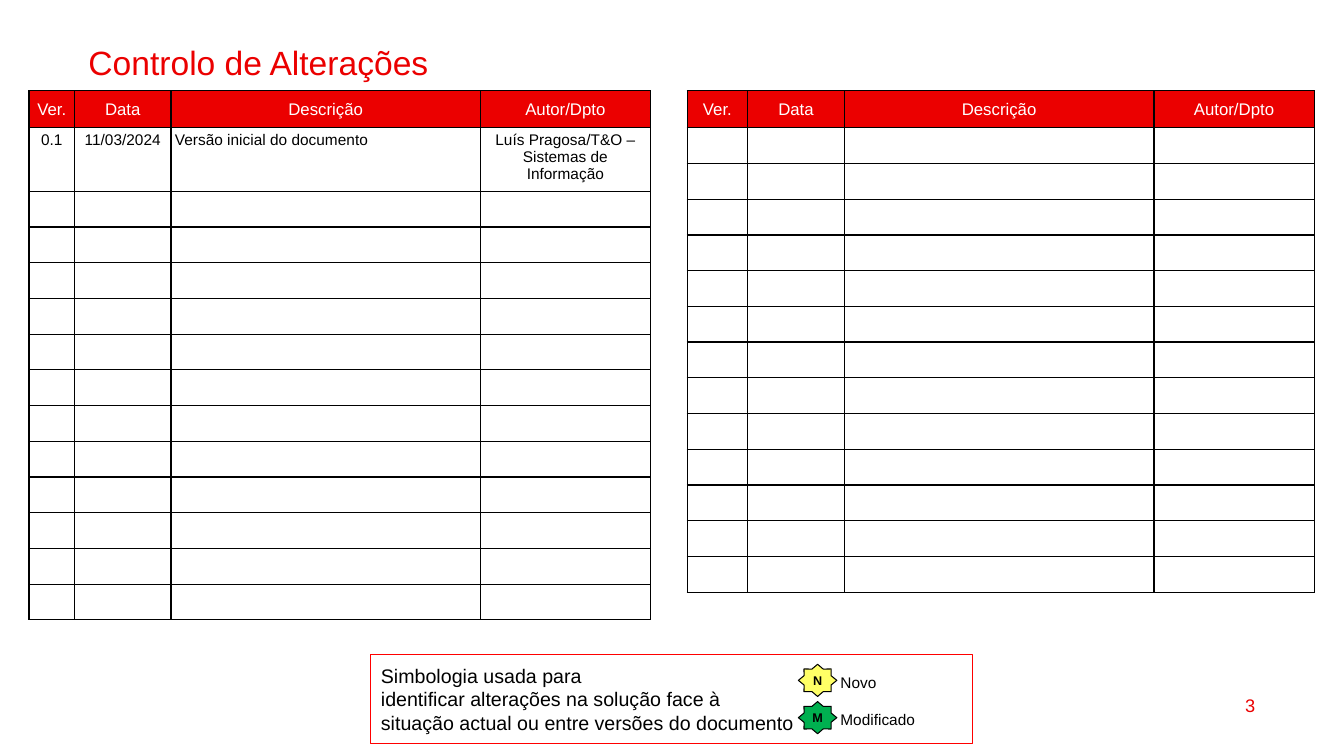
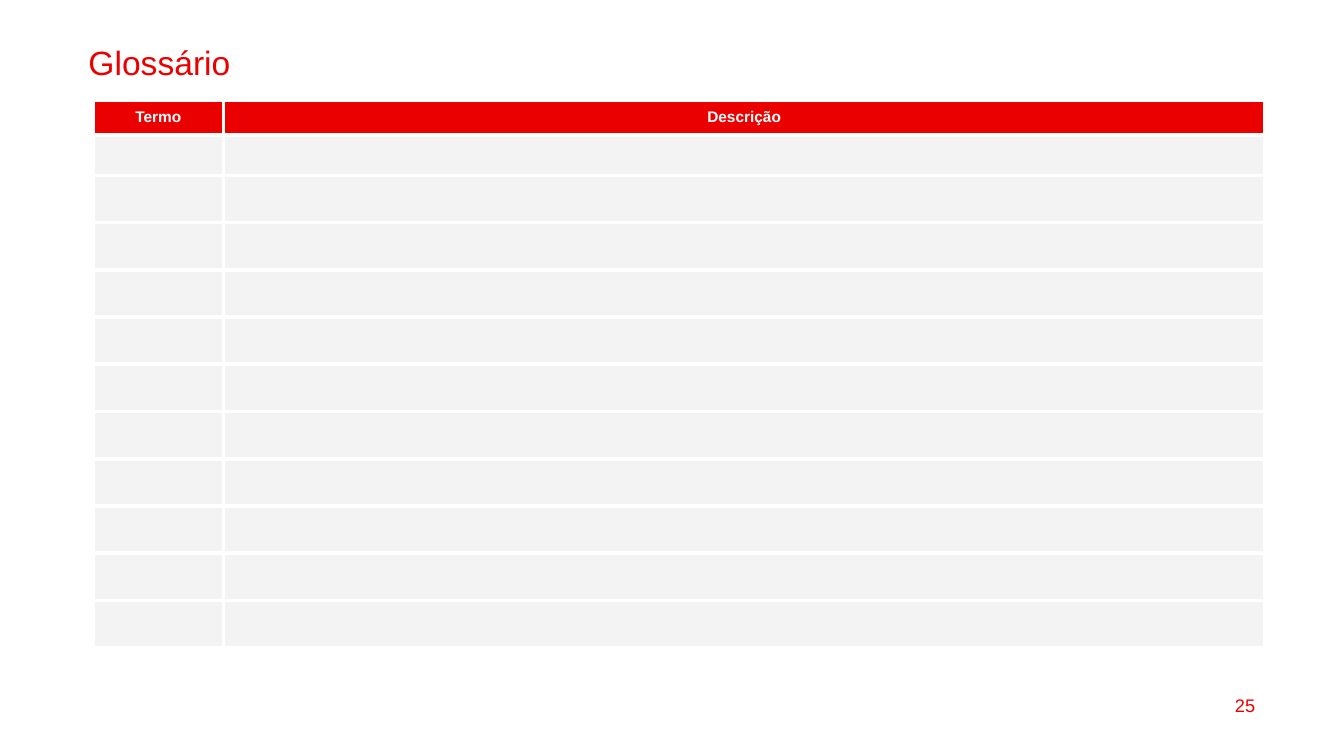
from dataclasses import dataclass

from lxml import etree
from pptx import Presentation
from pptx.dml.color import RGBColor
from pptx.enum.shapes import MSO_SHAPE
from pptx.enum.text import MSO_ANCHOR, PP_ALIGN
from pptx.oxml.ns import qn
from pptx.shapes.autoshape import Shape
from pptx.slide import Slide
from pptx.table import _Cell
from pptx.text.text import TextFrame
from pptx.util import Cm, Pt

LEFT = PP_ALIGN.LEFT
CENTER = PP_ALIGN.CENTER
RIGHT = PP_ALIGN.RIGHT
TOP = MSO_ANCHOR.TOP
MIDDLE = MSO_ANCHOR.MIDDLE
RECTANGLE = MSO_SHAPE.RECTANGLE
STAR = MSO_SHAPE.STAR_8_POINT
BORDER_TAGS = ("a:lnL", "a:lnR", "a:lnT", "a:lnB")


@dataclass(frozen=True)
class Theme:
    font: str = "Arial"
    red: str = "EB0000"
    frame_red: str = "FF0000"
    black: str = "000000"
    white: str = "FFFFFF"
    grey: str = "F3F3F3"
    yellow: str = "FFFF66"
    green: str = "00B050"
    title_size: float = 24
    legend_size: float = 14
    number_size: float = 13
    header_size: float = 12
    body_size: float = 11
    symbol_size: float = 9
    line_width: float = 0.75


THEME = Theme()


@dataclass(frozen=True)
class TextStyle:
    size: float
    color: str = THEME.black
    bold: bool = False
    align: PP_ALIGN = LEFT


@dataclass(frozen=True)
class Box:
    left: float
    top: float
    width: float
    height: float


@dataclass(frozen=True)
class TableStyle:
    header: TextStyle
    body_fill: str
    border_color: str
    border_width: float
    margin_x: float
    margin_y: float


@dataclass(frozen=True)
class TableSpec:
    left: float
    top: float
    columns: tuple[float, ...]
    rows: tuple[float, ...]
    headings: tuple[str, ...]
    style: TableStyle
    entries: tuple[tuple[str, ...], ...] = ()
    left_columns: tuple[int, ...] = ()


@dataclass(frozen=True)
class LegendItem:
    letter: str
    label: str
    color: str


TITLE = TextStyle(THEME.title_size, THEME.red)
NUMBER = TextStyle(THEME.number_size, THEME.red, align=RIGHT)
LEGEND = TextStyle(THEME.legend_size)
LABEL = TextStyle(THEME.body_size)
SYMBOL = TextStyle(THEME.symbol_size, bold=True, align=CENTER)

CHANGES_STYLE = TableStyle(
    TextStyle(THEME.header_size, THEME.white, align=CENTER),
    THEME.white, THEME.black, 1, 0.1, 0.1,
)
GLOSSARY_STYLE = TableStyle(
    TextStyle(THEME.body_size, THEME.white, True, CENTER),
    THEME.grey, THEME.white, 3, 0.15, 0,
)

CHANGE_HEADINGS = ("Ver.", "Data", "Descrição", "Autor/Dpto")
CHANGE_ROWS = (0.93,) + (0.9,) * 13
CHANGE_TABLES = (
    TableSpec(
        0.73, 2.29, (1.15, 2.43, 7.8, 4.28), CHANGE_ROWS, CHANGE_HEADINGS, CHANGES_STYLE,
        entries=((
            "0.1", "11/03/2024", "Versão inicial do documento",
            "Luís Pragosa/T&O – Sistemas de Informação",
        ),),
        left_columns=(2,),
    ),
    TableSpec(
        17.32, 2.29, (1.52, 2.44, 7.8, 4.04), CHANGE_ROWS, CHANGE_HEADINGS, CHANGES_STYLE,
    ),
)
GLOSSARY_TABLE = TableSpec(
    2.35, 2.52, (3.28, 26.25), (0.88, 1.02) + (1.19,) * 10,
    ("Termo", "Descrição"), GLOSSARY_STYLE,
)

LEGEND_BOX = Box(9.35, 16.49, 15.16, 2.24)
LEGEND_TEXT = (
    "Simbologia usada para\n"
    "identificar alterações na solução face à\n"
    "situação actual ou entre versões do documento"
)
LEGEND_ITEMS = (
    LegendItem("N", "Novo", THEME.yellow),
    LegendItem("M", "Modificado", THEME.green),
)
LEGEND_ITEM_TOP = 16.74
LEGEND_ITEM_PITCH = 0.94


def set_text(frame: TextFrame, text: str, style: TextStyle) -> None:
    frame.text = text
    for paragraph in frame.paragraphs:
        paragraph.alignment = style.align
        for run in paragraph.runs:
            run.font.name = THEME.font
            run.font.size = Pt(style.size)
            run.font.bold = style.bold
            run.font.color.rgb = RGBColor.from_string(style.color)


def place(box: Box) -> tuple[Cm, Cm, Cm, Cm]:
    return Cm(box.left), Cm(box.top), Cm(box.width), Cm(box.height)


def add_text(shapes, box: Box, text: str, style: TextStyle, anchor: MSO_ANCHOR = TOP) -> None:
    frame = shapes.add_textbox(*place(box)).text_frame
    frame.word_wrap = True
    frame.vertical_anchor = anchor
    set_text(frame, text, style)


def add_outlined_shape(
    shapes, kind: MSO_SHAPE, box: Box, line: str, text: str, style: TextStyle
) -> Shape:
    shape = shapes.add_shape(kind, *place(box))
    shape.shadow.inherit = False
    shape.fill.background()
    shape.line.color.rgb = RGBColor.from_string(line)
    shape.line.width = Pt(THEME.line_width)
    shape.text_frame.word_wrap = True
    shape.text_frame.vertical_anchor = MIDDLE
    set_text(shape.text_frame, text, style)
    return shape


def set_borders(cell: _Cell, color: str, width: float) -> None:
    properties = cell._tc.get_or_add_tcPr()
    for index, tag in enumerate(BORDER_TAGS):
        line = etree.Element(qn(tag), w=str(Pt(width)))
        fill = etree.SubElement(line, qn("a:solidFill"))
        etree.SubElement(fill, qn("a:srgbClr"), val=color)
        properties.insert(index, line)


def fill_cell(cell: _Cell, text: str, text_style: TextStyle, fill: str, style: TableStyle) -> None:
    cell.fill.solid()
    cell.fill.fore_color.rgb = RGBColor.from_string(fill)
    cell.margin_left = cell.margin_right = Cm(style.margin_x)
    cell.margin_top = cell.margin_bottom = Cm(style.margin_y)
    set_borders(cell, style.border_color, style.border_width)
    if text:
        set_text(cell.text_frame, text, text_style)
    else:
        paragraph = cell.text_frame.paragraphs[0]
        end = etree.SubElement(paragraph._p, qn("a:endParaRPr"))
        end.set("sz", str(int(text_style.size * 100)))


def add_table(slide: Slide, spec: TableSpec) -> None:
    box = Box(spec.left, spec.top, sum(spec.columns), sum(spec.rows))
    table = slide.shapes.add_table(len(spec.rows), len(spec.columns), *place(box)).table
    table.horz_banding = False
    for column, width in zip(table.columns, spec.columns):
        column.width = Cm(width)
    for row, height in zip(table.rows, spec.rows):
        row.height = Cm(height)
    for index, heading in enumerate(spec.headings):
        cell = table.cell(0, index)
        cell.vertical_anchor = MIDDLE
        fill_cell(cell, heading, spec.style.header, THEME.red, spec.style)
    for row_index in range(1, len(spec.rows)):
        has_entry = row_index <= len(spec.entries)
        entry = spec.entries[row_index - 1] if has_entry else ("",) * len(spec.columns)
        for index, text in enumerate(entry):
            align = LEFT if index in spec.left_columns else CENTER
            body = TextStyle(THEME.body_size, align=align)
            fill_cell(table.cell(row_index, index), text, body, spec.style.body_fill, spec.style)


def add_legend(slide: Slide) -> None:
    shapes = slide.shapes.add_group_shape().shapes
    add_outlined_shape(shapes, RECTANGLE, LEGEND_BOX, THEME.frame_red, LEGEND_TEXT, LEGEND)
    for index, item in enumerate(LEGEND_ITEMS):
        top = LEGEND_ITEM_TOP + index * LEGEND_ITEM_PITCH
        add_text(shapes, Box(20.93, top + 0.1, 2.77, 0.7), item.label, LABEL)
        star = add_outlined_shape(
            shapes, STAR, Box(20.12, top, 0.97, 0.81), THEME.black, item.letter, SYMBOL
        )
        star.adjustments[0] = 0.38
        star.fill.solid()
        star.fill.fore_color.rgb = RGBColor.from_string(item.color)
        frame = star.text_frame
        frame.word_wrap = False
        frame.margin_left = frame.margin_right = frame.margin_top = frame.margin_bottom = 0


def add_page(presentation: Presentation, title: str, number: int) -> Slide:
    slide = presentation.slides.add_slide(presentation.slide_layouts[6])
    add_text(slide.shapes, Box(1.98, 0.94, 29.9, 0.84), title, TITLE)
    add_text(slide.shapes, Box(24.26, 17.25, 7.62, 1.02), str(number), NUMBER, MIDDLE)
    return slide


def main() -> None:
    presentation = Presentation()
    presentation.slide_width = Cm(33.87)
    presentation.slide_height = Cm(19.05)

    changes = add_page(presentation, "Controlo de Alterações", 3)
    for spec in CHANGE_TABLES:
        add_table(changes, spec)
    add_legend(changes)

    glossary = add_page(presentation, "Glossário", 25)
    add_table(glossary, GLOSSARY_TABLE)

    presentation.save("out.pptx")


if __name__ == "__main__":
    main()
